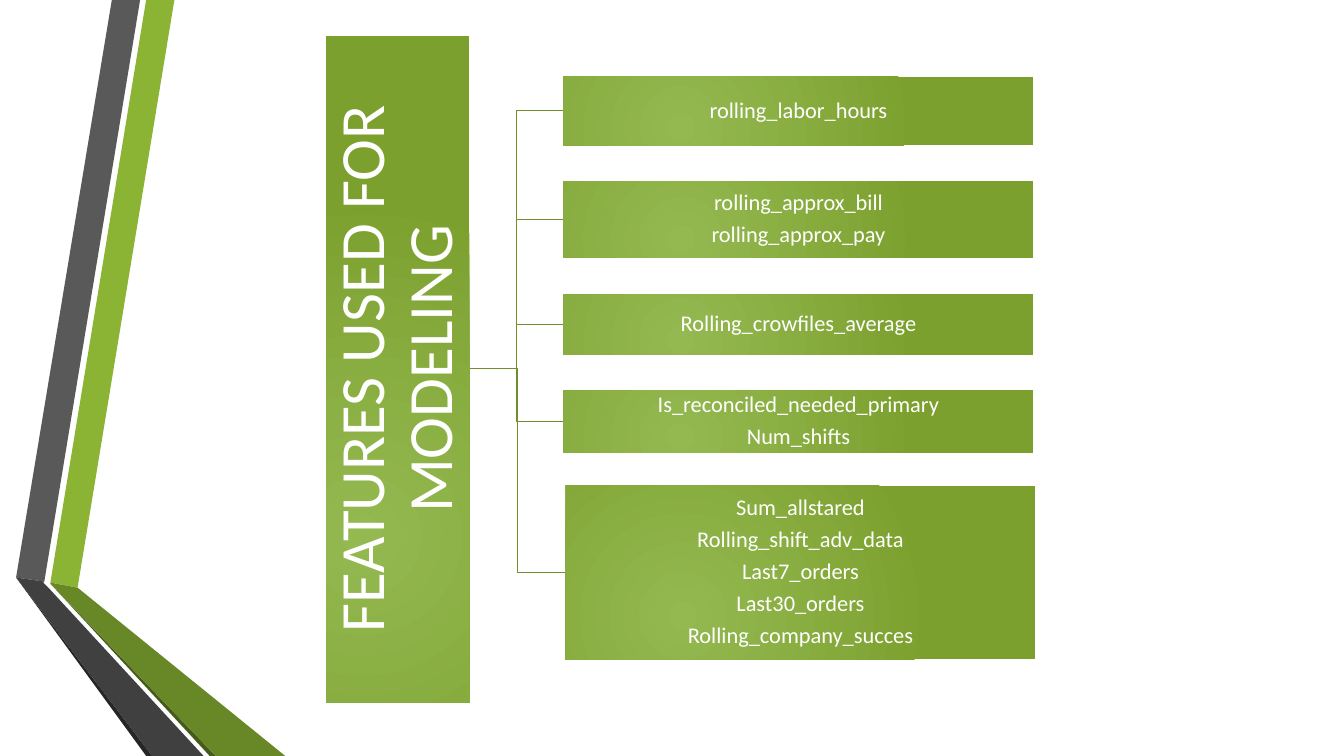
from lxml import etree
from pptx import Presentation
from pptx.dml.color import RGBColor
from pptx.enum.shapes import MSO_CONNECTOR as Link, MSO_SHAPE as Shape
from pptx.enum.text import MSO_ANCHOR as Anchor, PP_ALIGN as Align
from pptx.oxml.ns import qn
from pptx.util import Inches, Pt


def rgb(value):
    return RGBColor.from_string(value)


def apply(target, formats):
    for key, value in formats.items():
        setattr(target, key, value)


class FeatureSlide:
    """Draws the ribbons, labelled boxes and branches of one slide."""

    FONT = "Calibri"
    TEXT = "FFFFFF"
    BRANCH = "6F902A"
    GLOW = ("94B951", "7CA02E")

    def __init__(self, deck):
        self.shapes = deck.slides.add_slide(deck.slide_layouts[6]).shapes

    def ribbon(self, color, outline):
        corners = [(Inches(x), Inches(y)) for x, y in outline]
        builder = self.shapes.build_freeform(*corners[0])
        builder.add_line_segments(corners[1:], close=True)
        band = builder.convert_to_shape()
        band.shadow.inherit = False
        band.fill.solid()
        band.fill.fore_color.rgb = rgb(color)
        band.line.fill.background()

    def branch(self, start, end):
        elbow = self.shapes.add_connector(
            Link.ELBOW, *(Inches(v) for v in (*start, *end)))
        elbow.line.color.rgb = rgb(self.BRANCH)
        elbow.line.width = Pt(0.75)
        etree.SubElement(elbow._element.spPr, qn("a:effectLst"))

    def glow(self, box):
        box.fill.gradient()
        for stop, color, position in zip(box.fill.gradient_stops, self.GLOW, (0, 1)):
            stop.color.rgb = rgb(color)
            stop.position = position
        gradient = box._element.spPr.find(qn("a:gradFill"))
        gradient.remove(gradient.find(qn("a:lin")))
        circle = etree.SubElement(gradient, qn("a:path"), path="circle")
        etree.SubElement(circle, qn("a:fillToRect"),
                         l="50000", t="100000", r="100000", b="50000")

    def box(self, place, lines, size, inset, rotation=0):
        box = self.shapes.add_shape(Shape.RECTANGLE, *(Inches(v) for v in place))
        box.rotation = rotation
        box.shadow.inherit = False
        box.line.fill.background()
        self.glow(box)
        frame = box.text_frame
        sides = ("left", "top", "right", "bottom")
        apply(frame, {f"margin_{side}": Inches(inset) for side in sides})
        apply(frame, {"word_wrap": True, "vertical_anchor": Anchor.MIDDLE})
        frame.text = "\n".join(lines)
        for paragraph in frame.paragraphs:
            apply(paragraph, {"alignment": Align.CENTER, "line_spacing": 0.9,
                              "space_after": Pt(0.35 * size)})
            apply(paragraph.font, {"name": self.FONT, "size": Pt(size)})
            paragraph.font.color.rgb = rgb(self.TEXT)


RIBBONS = [
    ("8BB434", [(0.5, 5.78), (0.77, 5.83), (1.73, 0), (1.45, 0)]),
    ("595959", [(1.39, 0), (1.11, 0), (0.16, 5.73), (0.44, 5.77)]),
    ("262626", [(0.16, 5.73), (1.45, 7.5), (1.51, 7.5)]),
    ("465A1A", [(0.5, 5.79), (2.08, 7.5), (2.14, 7.5)]),
    ("688727", [(0.5, 5.79), (2.14, 7.5), (2.83, 7.5), (0.77, 5.83), (0.5, 5.78)]),
    ("404040", [(2.02, 7.5), (0.48, 5.83), (0.43, 5.78), (0.44, 5.77),
                (0.16, 5.73), (1.51, 7.5)]),
]
FEATURES = [
    (5.59, 0.76, 0.68, ["rolling_labor_hours"]),
    (5.59, 1.8, 0.76, ["rolling_approx_bill", "rolling_approx_pay"]),
    (5.59, 2.92, 0.6, ["Rolling_crowfiles_average"]),
    (5.59, 3.87, 0.62, ["Is_reconciled_needed_primary", "Num_shifts"]),
    (5.61, 4.82, 1.72, ["Sum_allstared", "Rolling_shift_adv_data", "Last7_orders",
                        "Last30_orders", "Rolling_company_succes"]),
]
ROOT = (4.65, 3.66)
FEATURE_WIDTH = 4.66


def main():
    deck = Presentation()
    apply(deck, {"slide_width": Inches(13.33), "slide_height": Inches(7.5)})
    slide = FeatureSlide(deck)
    for color, outline in RIBBONS:
        slide.ribbon(color, outline)
    for left, top, height, _ in reversed(FEATURES):
        slide.branch(ROOT, (left, top + height / 2))
    slide.box((0.64, 2.95, 6.61, 1.42), ["FEATURES USED FOR MODELING"], 45, 0.03, 270)
    for left, top, height, names in FEATURES:
        slide.box((left, top, FEATURE_WIDTH, height), names, 16, 0.01)
    deck.save("out.pptx")


if __name__ == "__main__":
    main()
